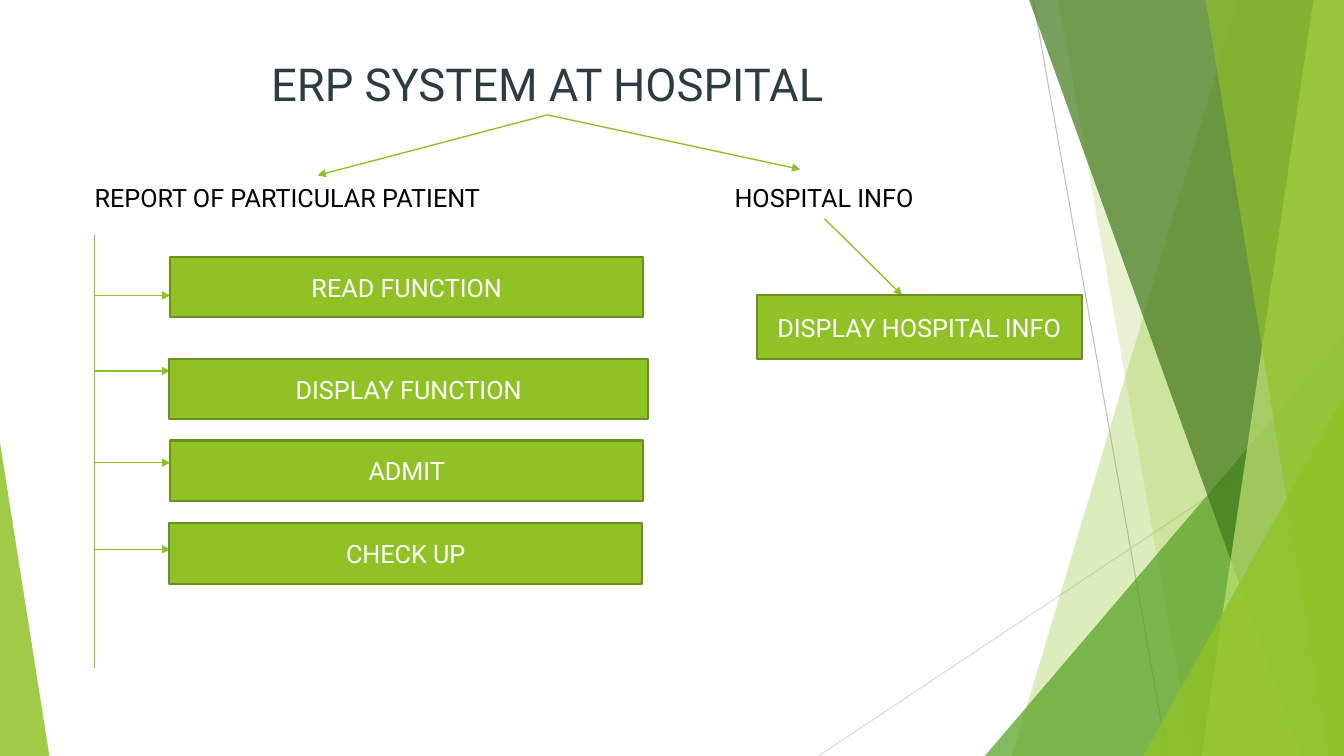
from lxml import etree
from pptx import Presentation, util as u
from pptx.dml.color import RGBColor
from pptx.enum import shapes, text
from pptx.oxml.ns import qn

COLUMNS, ROWS = 133.33, 75  # grid cells are a tenth of an inch
GREEN, DARK_GREEN, BLACK, WHITE = "90C226", "6B901C", "000000", "FFFFFF"


def cells(count):
    """Convert grid cells to a length."""
    return u.Inches(count / 10)


def color(code):
    """Turn a hex string into a colour."""
    return RGBColor.from_string(code)


class Canvas:
    """Holds the style and the current slide."""

    font = "Roboto"
    body_size = 18

    def __init__(self, slide):
        self.slide = slide
        self.shapes = slide.shapes

    def paint(self, shape, fill, opacity=100, outline=None):
        """Give a shape its fill, opacity and optional outline."""
        shape.shadow.inherit = False
        shape.fill.solid()
        shape.fill.fore_color.rgb = color(fill)
        if opacity < 100:
            srgb = shape._element.spPr.find(qn("a:solidFill"))[0]
            etree.SubElement(srgb, qn("a:alpha"), val=str(opacity * 1000))
        if outline:
            shape.line.color.rgb = color(outline)
            shape.line.width = u.Pt(1.5)
        else:
            shape.line.fill.background()

    def caption(self, shape, wording, ink, size, align):
        """Set one paragraph of text in a shape."""
        frame = shape.text_frame
        frame.word_wrap = True
        frame.vertical_anchor = text.MSO_ANCHOR.MIDDLE
        paragraph = frame.paragraphs[0]
        paragraph.text = wording
        paragraph.alignment = align
        paragraph.font.name = self.font
        paragraph.font.size = u.Pt(size)
        paragraph.font.color.rgb = color(ink)

    def line(self, start, end, ink=GREEN, width=1, arrow=False):
        """Draw a straight line, with an arrowhead at its end if asked."""
        connector = self.shapes.add_connector(
            shapes.MSO_CONNECTOR.STRAIGHT, *map(cells, start + end))
        connector.line.color.rgb = color(ink)
        connector.line.width = u.Pt(width)
        if arrow:
            etree.SubElement(connector.line._get_or_add_ln(),
                             qn("a:tailEnd"), type="triangle")
        etree.SubElement(connector._element.spPr, qn("a:effectLst"))

    def band(self, top, bottom, fill, opacity):
        """Fill from a slanted left edge to the right side of the slide."""
        corners = [(COLUMNS, 0), (COLUMNS, ROWS), (bottom, ROWS)]
        builder = self.shapes.build_freeform(cells(top), 0)
        builder.add_line_segments([tuple(map(cells, c)) for c in corners])
        self.paint(builder.convert_to_shape(), fill, opacity)

    def triangle(self, left, top, width, apex, fill, opacity):
        """Stand a triangle on the bottom edge, apex as share of width."""
        shape = self.shapes.add_shape(
            shapes.MSO_SHAPE.ISOSCELES_TRIANGLE,
            *map(cells, (left, top, width, ROWS - top)))
        shape.adjustments[0] = apex
        self.paint(shape, fill, opacity)

    def label(self, area, wording, ink=BLACK, size=body_size,
              align=text.PP_ALIGN.CENTER):
        """Place free text."""
        box = self.shapes.add_textbox(*map(cells, area))
        self.caption(box, wording, ink, size, align)

    def function_box(self, area, wording):
        """Place a green box with a centred caption."""
        box = self.shapes.add_shape(shapes.MSO_SHAPE.RECTANGLE,
                                    *map(cells, area))
        self.paint(box, GREEN, outline=DARK_GREEN)
        self.caption(box, wording, WHITE, self.body_size,
                     text.PP_ALIGN.CENTER)


def draw_backdrop(canvas):
    """Draw the thin lines and translucent green facets."""
    canvas.line((102.5, 0), (115.8, ROWS), "BFBFBF", 0.75)
    canvas.line((COLUMNS, 40.3), (81.2, ROWS), "D9D9D9", 0.75)
    canvas.band(122.8, 100.4, GREEN, 30)
    canvas.band(105, 118.3, GREEN, 20)
    canvas.triangle(97.7, 33.3, 35.6, 1, "54A021", 72)
    for top, bottom, fill, opacity in [(102.1, 129.1, "3F7819", 70),
                                       (130.3, 119.2, "C0E474", 70),
                                       (119.6, 131.8, GREEN, 65)]:
        canvas.band(top, bottom, fill, opacity)
    canvas.triangle(113.4, 39.3, 19.9, 1, GREEN, 80)
    canvas.triangle(0, 43.9, 4.9, 0, GREEN, 85)


def draw_headings(canvas):
    """Set the title and branch to the two headings."""
    canvas.label((7.3, 5.1, 94, 6.3), "ERP SYSTEM AT HOSPITAL", "2C3C43", 32.4)
    for target in [(31.5, 17.4), (79.4, 16.8)]:
        canvas.line((54.3, 11.4), target, arrow=True)
    canvas.label((8.4, 17.6, 44.2, 4), "REPORT OF PARTICULAR PATIENT",
                 align=text.PP_ALIGN.LEFT)
    canvas.label((62.2, 17.6, 39.1, 4), "HOSPITAL INFO")


def draw_functions(canvas):
    """Hang the patient functions on a trunk, and the hospital box."""
    trunk = 9.4
    canvas.line((trunk, 23.3), (trunk, 66.3))
    functions = [("READ FUNCTION", 16.9, 25.5, 46.9, 29.3),
                 ("DISPLAY FUNCTION", 16.8, 35.6, 47.5, 36.8),
                 ("ADMIT", 16.9, 43.7, 46.9, 45.9),
                 ("CHECK UP", 16.8, 51.9, 46.9, 54.5)]
    for wording, left, top, width, arrow_row in functions:
        canvas.line((trunk, arrow_row), (16.9, arrow_row), arrow=True)
        canvas.function_box((left, top, width, 6), wording)
    canvas.line((81.8, 21.7), (89.5, 29.3), arrow=True)
    canvas.function_box((75.1, 29.3, 32.2, 6.3), "DISPLAY HOSPITAL INFO")


deck = Presentation()
deck.slide_width, deck.slide_height = cells(COLUMNS), cells(ROWS)
hospital = Canvas(deck.slides.add_slide(deck.slide_layouts[6]))
draw_backdrop(hospital)
draw_headings(hospital)
draw_functions(hospital)
deck.save("out.pptx")
